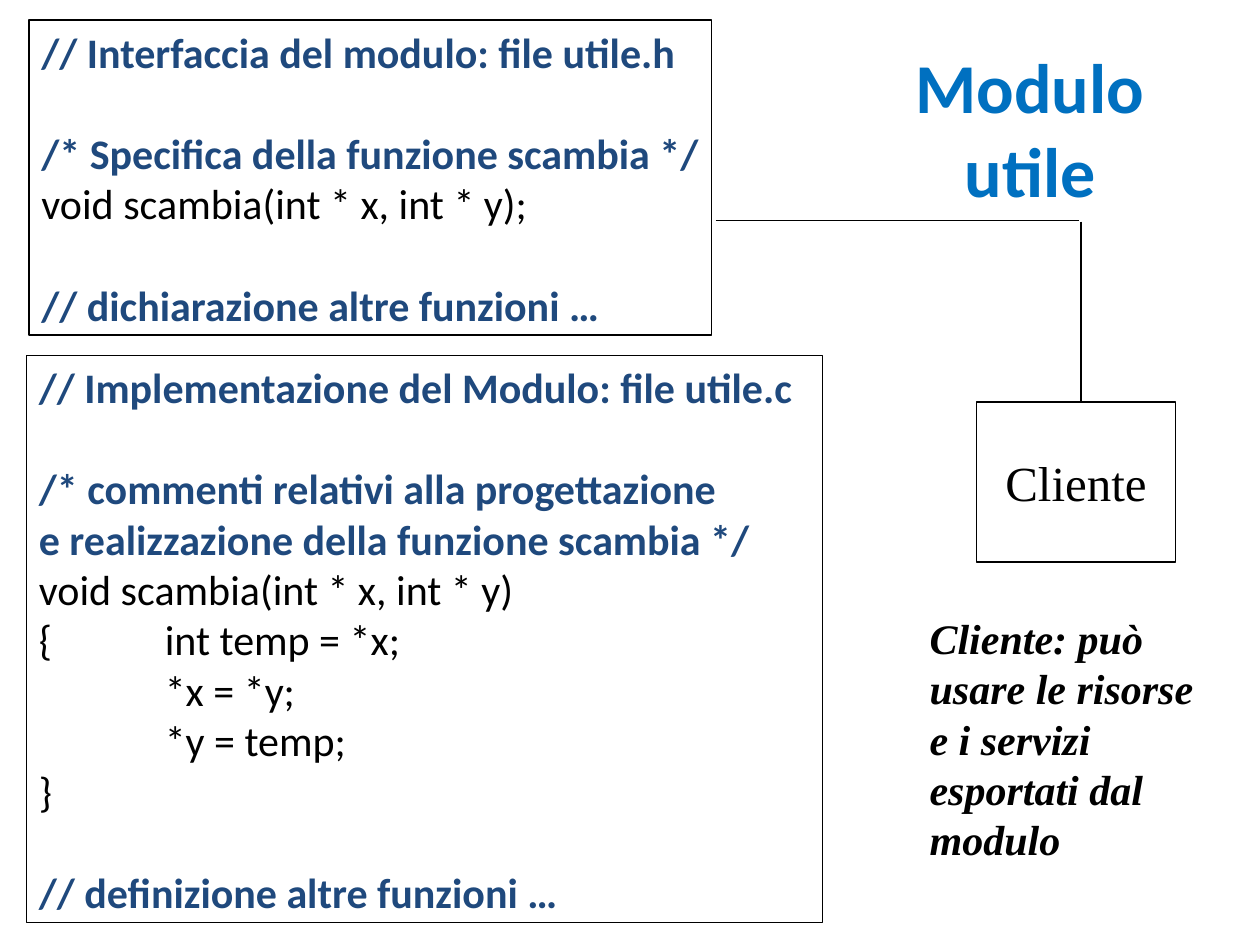
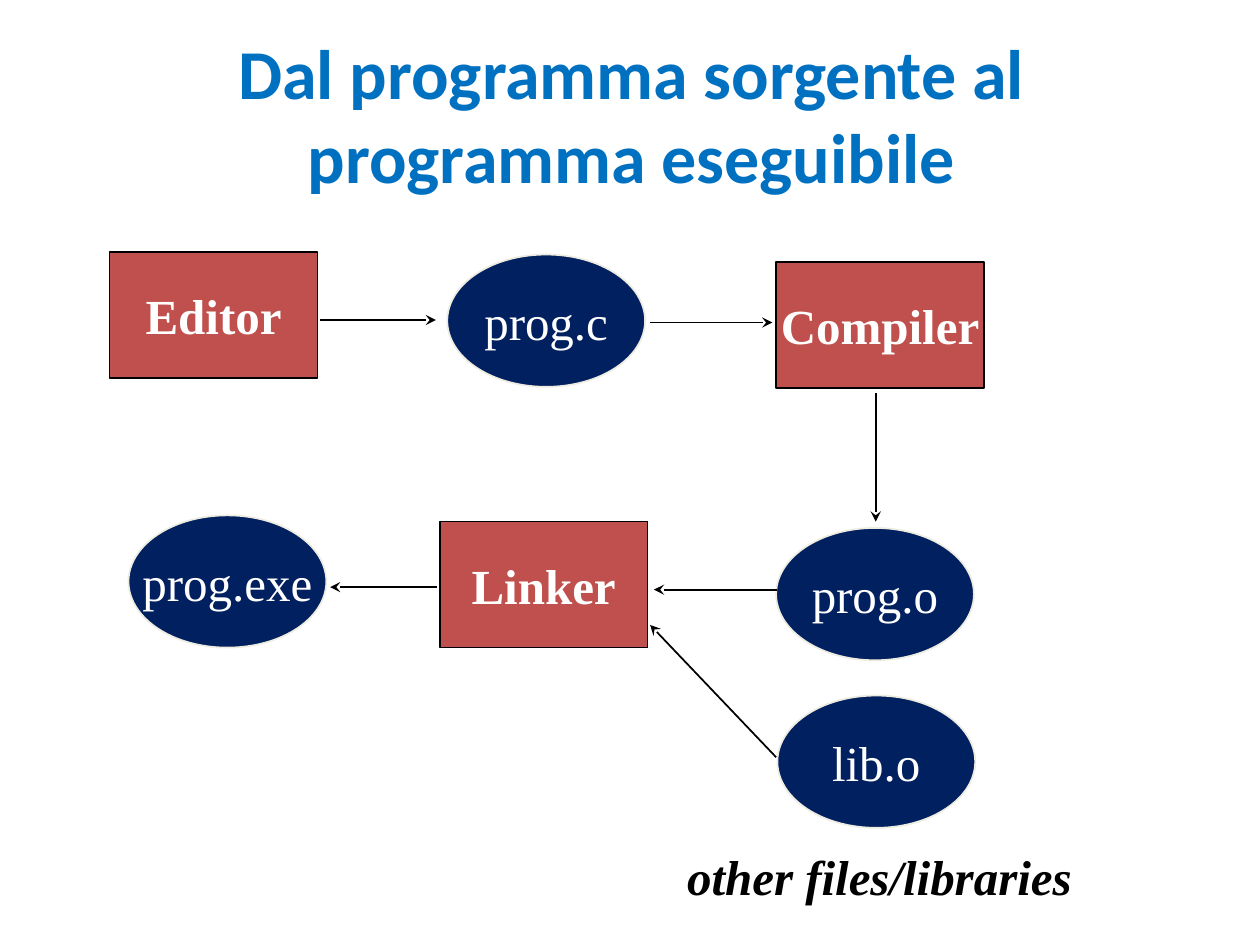
import pptx
import pptx.dml.color
import pptx.enum.shapes
import pptx.enum.text
import pptx.oxml
import pptx.oxml.ns
import pptx.util
import lxml.etree

RGBColor = pptx.dml.color.RGBColor
Shape = pptx.enum.shapes.MSO_SHAPE
Align = pptx.enum.text.PP_ALIGN
Anchor = pptx.enum.text.MSO_ANCHOR
qn = pptx.oxml.ns.qn

BLACK = RGBColor(0x00, 0x00, 0x00)
WHITE = RGBColor(0xFF, 0xFF, 0xFF)
TITLE_BLUE = RGBColor(0x00, 0x70, 0xC0)
COMMENT_BLUE = RGBColor(0x1F, 0x49, 0x7D)
TOOL_RED = RGBColor(0xC0, 0x50, 0x4D)
FILE_NAVY = RGBColor(0x00, 0x20, 0x60)
FILE_EDGE = RGBColor(0xEE, 0xEC, 0xE1)

SANS = "Calibri"
SERIF = "Times New Roman"
EMU_PER_PX = 9144  # 100 px to the inch
CODE_LINE = 29  # points

COMMENT, CODE = True, False

HEADER_FILE = [
    [(COMMENT, "// Interfaccia del modulo: file utile.h")],
    [(COMMENT, "/* Specifica della funzione scambia */"),
     (CODE, "void scambia(int * x, int * y);")],
    [(COMMENT, "// dichiarazione altre funzioni …")],
]
SOURCE_FILE = [
    [(COMMENT, "// Implementazione del Modulo: file utile.c")],
    [(COMMENT, "/* commenti relativi alla progettazione"),
     (COMMENT, "e realizzazione della funzione scambia */"),
     (CODE, "void scambia(int * x, int * y)"),
     (CODE, "{\tint temp = *x;"),
     (CODE, "  \t*x = *y;"),
     (CODE, " \t*y = temp;"),
     (CODE, "}")],
    [(COMMENT, "// definizione altre funzioni …")],
]

TOOLS = [("Editor", 87, 200), ("Compiler", 616, 208), ("Linker", 349, 414)]
FILES = [("prog.c", 355, 202), ("prog.o", 616, 419),
         ("lib.o", 617, 552), ("prog.exe", 102, 409)]
ARROWS = [
    (254, 254, 346, 254),  # Editor to prog.c
    (516, 256, 613, 256),  # prog.c to Compiler
    (695, 312, 695, 414),  # Compiler to prog.o
    (617, 468, 519, 468),  # prog.o to Linker
    (616, 601, 516, 496),  # lib.o to Linker
    (347, 466, 262, 466),  # Linker to prog.exe
]


def px(*lengths):
    return [pptx.util.Emu(length * EMU_PER_PX) for length in lengths]


class Deck:
    """The presentation, its style and the slide being filled."""

    def __init__(self):
        self.presentation = pptx.Presentation()
        self.presentation.slide_width, self.presentation.slide_height = px(1000, 750)
        self.slide = None

    def new_slide(self):
        self.slide = self.presentation.slides.add_slide(
            self.presentation.slide_layouts[6])

    def style(self, paragraph, size, color, name=SERIF, bold=False, italic=False):
        font = paragraph.font
        font.name, font.size = name, pptx.util.Pt(size)
        font.bold, font.italic = bold, italic
        font.color.rgb = color

    def text(self, box, text, size, color, align=Align.LEFT, wrap=True, **font):
        textbox = self.slide.shapes.add_textbox(*px(*box))
        frame = textbox.text_frame
        frame.word_wrap = wrap
        paragraph = frame.paragraphs[0]
        paragraph.text = text
        paragraph.alignment = align
        self.style(paragraph, size, color, **font)
        return frame

    def title(self, box, text):
        frame = self.text(box, text, 40, TITLE_BLUE, Align.CENTER, name=SANS, bold=True)
        frame.vertical_anchor = Anchor.MIDDLE

    def shape(self, kind, box, fill=None, line=BLACK, width=0.75):
        shape = self.slide.shapes.add_shape(kind, *px(*box))
        shape.shadow.inherit = False
        if fill is None:
            shape.fill.background()
        else:
            shape.fill.solid()
            shape.fill.fore_color.rgb = fill
        shape.line.color.rgb = line
        shape.line.width = pptx.util.Pt(width)
        return shape

    def node(self, kind, box, label, color=WHITE, bold=False, **look):
        """A shape with a centred label on one line."""
        frame = self.shape(kind, box, **look).text_frame
        frame.word_wrap = False
        frame.vertical_anchor = Anchor.MIDDLE
        paragraph = frame.paragraphs[0]
        paragraph.text = label
        paragraph.alignment = Align.CENTER
        self.style(paragraph, 28, color, bold=bold)

    def code(self, box, groups, wrap=True):
        """A framed listing whose groups stand one line apart."""
        frame = self.shape(Shape.RECTANGLE, box).text_frame
        frame.word_wrap = wrap
        frame.vertical_anchor = Anchor.TOP
        paragraph = None
        for group in groups:
            for position, (is_comment, text) in enumerate(group):
                is_first = paragraph is None
                paragraph = frame.paragraphs[0] if is_first else frame.add_paragraph()
                paragraph.text = text
                paragraph.alignment = Align.LEFT
                if position == 0 and not is_first:
                    paragraph.space_before = pptx.util.Pt(CODE_LINE)
                if "\t" in text:
                    self.tab_stop(paragraph, 100)
                self.style(paragraph, 24, COMMENT_BLUE if is_comment else BLACK,
                           name=SANS, bold=is_comment)

    def tab_stop(self, paragraph, position):
        properties = paragraph._p.get_or_add_pPr()
        tabs = lxml.etree.SubElement(properties, qn("a:tabLst"))
        lxml.etree.SubElement(tabs, qn("a:tab"), pos=str(position * EMU_PER_PX), algn="l")

    def line(self, ends, width=0.75, arrow=False):
        connector = self.slide.shapes.add_connector(
            pptx.enum.shapes.MSO_CONNECTOR.STRAIGHT, *px(*ends))
        connector.line.color.rgb = BLACK
        connector.line.width = pptx.util.Pt(width)
        if arrow:
            lxml.etree.SubElement(connector.line._get_or_add_ln(),
                                  qn("a:tailEnd"), type="stealth")
        lxml.etree.SubElement(connector._element.spPr, qn("a:effectLst"))


def module_slide(deck):
    deck.new_slide()
    deck.code((23, 16, 542, 250), HEADER_FILE, wrap=False)
    deck.code((21, 282, 632, 450), SOURCE_FILE)
    deck.node(Shape.RECTANGLE, (775, 319, 158, 127), "Cliente", BLACK)
    deck.line((568, 175, 856, 175))
    deck.line((858, 176, 858, 319))
    deck.text((728, 481, 240, 210),
              "Cliente: può usare le risorse e i servizi esportati dal modulo",
              24, BLACK, bold=True, italic=True)
    deck.title((670, 24, 295, 154), "Modulo utile")


def build_chain_slide(deck):
    deck.new_slide()
    deck.title((104, 13, 794, 154), "Dal programma sorgente al programma eseguibile")
    for label, left, top in TOOLS:
        deck.node(Shape.RECTANGLE, (left, top, 165, 100), label, bold=True,
                  fill=TOOL_RED, width=1)
    for label, left, top in FILES:
        deck.node(Shape.OVAL, (left, top, 157, 105), label,
                  fill=FILE_NAVY, line=FILE_EDGE, width=1)
    for ends in ARROWS:
        deck.line(ends, width=1, arrow=True)
    deck.text((535, 667, 326, 57), "other files/libraries", 28, BLACK,
              Align.CENTER, wrap=False, bold=True, italic=True)


def main():
    deck = Deck()
    module_slide(deck)
    build_chain_slide(deck)
    deck.presentation.save("out.pptx")


if __name__ == "__main__":
    main()
